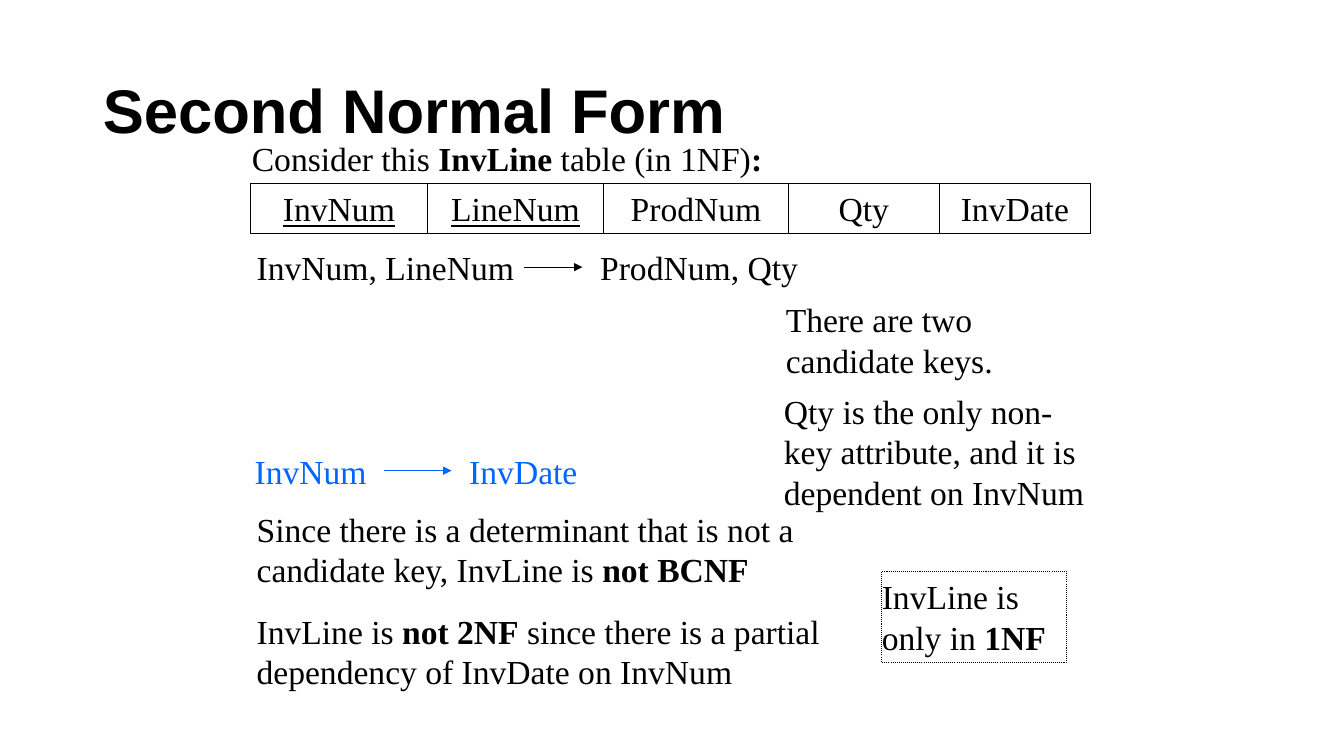
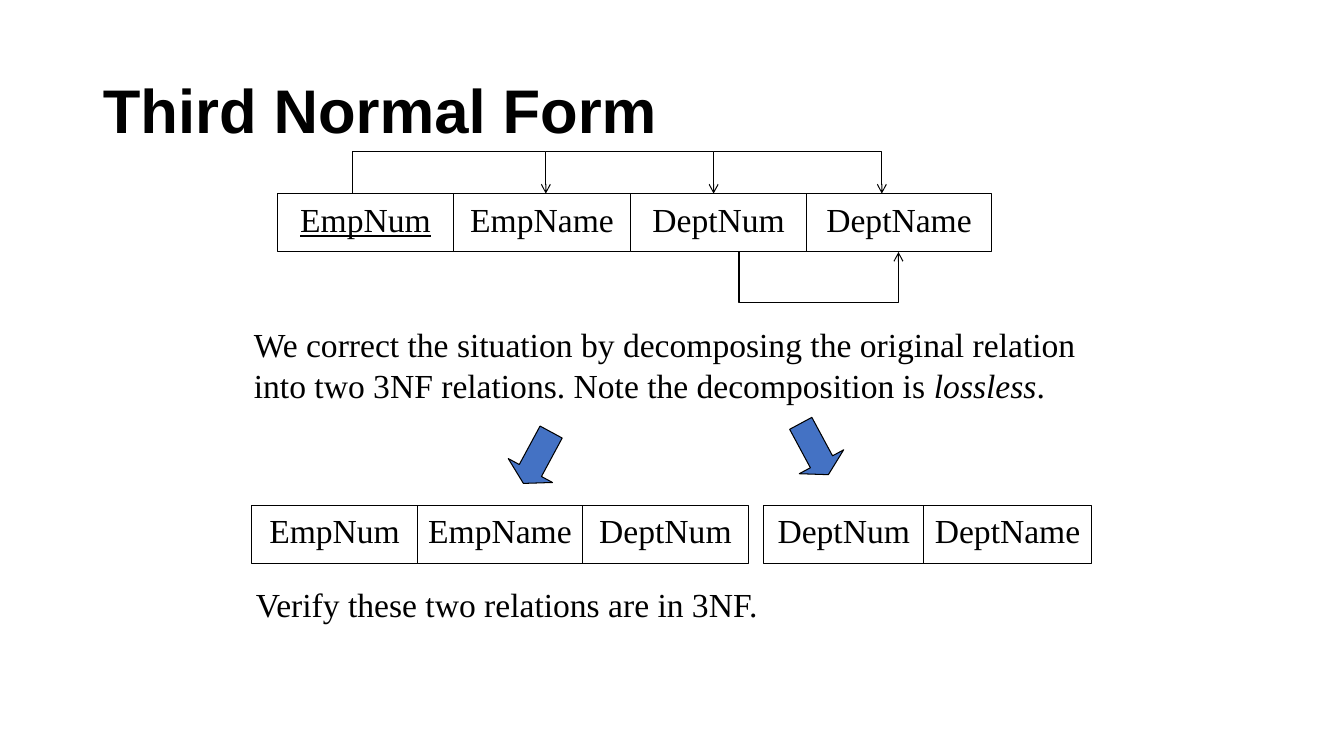
"""Build two slides on second and third normal form."""
from dataclasses import dataclass

from lxml.etree import SubElement
from pptx import Presentation
from pptx.dml.color import RGBColor
from pptx.enum.dml import MSO_LINE
from pptx.enum.shapes import MSO_CONNECTOR, MSO_SHAPE
from pptx.enum.text import MSO_ANCHOR, MSO_AUTO_SIZE, PP_ALIGN
from pptx.oxml.ns import qn
from pptx.util import Cm, Pt


@dataclass(frozen=True)
class Theme:
    ink: RGBColor = RGBColor(0x00, 0x00, 0x00)
    paper: RGBColor = RGBColor(0xFF, 0xFF, 0xFF)
    accent: RGBColor = RGBColor(0x00, 0x66, 0xFF)
    block: RGBColor = RGBColor(0x44, 0x72, 0xC4)
    title_font: str = "Arial"
    body_font: str = "Times New Roman"
    title_size: Pt = Pt(44)
    body_size: Pt = Pt(24)
    rule: Pt = Pt(0.75)
    gap: Pt = Pt(15)


THEME = Theme()
SLIDE_SIZE = (33.88, 19.05)
TITLE_AREA = (2.34, 1.02, 29.21, 3.68)

SECOND = {
    "title": "Second Normal Form",
    "relations": [
        (6.32, 4.62, 1.27, [("InvNum", 4.45, "u"), ("LineNum", 4.45, "u"), ("ProdNum", 4.65, ""),
                            ("Qty", 3.81, ""), ("InvDate", 3.81, "")]),
    ],
    "notes": [
        ((6.1, 3.35, 13.36, 1.27),
         [[("Consider this", ""), (" InvLine ", "b"), ("table (in 1NF)", ""), (":", "b")]],
         {"wrap": False}),
        ((6.22, 6.1, 7.82, 1.27), [[("InvNum, LineNum", "")]], {}),
        ((14.88, 6.1, 8.33, 1.27), [[("ProdNum, Qty", "")]], {}),
        ((19.56, 7.42, 7.37, 2.29), [[("There are two candidate keys.", "")]], {}),
        ((19.51, 9.73, 8.33, 3.3),
         [[("Qty is the only non-key attribute, and it is dependent on InvNum", "")]], {}),
        ((6.17, 11.23, 3.33, 1.27), [[("InvNum", "")]], {"color": THEME.accent, "wrap": False}),
        ((11.58, 11.23, 3.23, 1.27), [[("InvDate", "")]], {"color": THEME.accent, "wrap": False}),
        ((6.22, 12.7, 15.04, 4.85),
         [[("Since there is a determinant that is not a candidate key, InvLine is ", ""),
           ("not BCNF", "b")],
          [("InvLine is ", ""), ("not 2NF", "b"),
           (" since there is a partial dependency of InvDate on InvNum", "")]], {}),
    ],
    "verdict": ((22.23, 14.4, 4.65, 2.29), [[("InvLine is only in ", ""), ("1NF", "b")]]),
    "dependencies": [(13.21, 14.68, 6.73, THEME.ink), (9.68, 11.38, 11.86, THEME.accent)],
}

THIRD = {
    "title": "Third Normal Form",
    "relations": [
        (6.99, 4.88, 1.47, [("EmpNum", 4.45, "u"), ("EmpName", 4.45, ""),
                            ("DeptNum", 4.45, ""), ("DeptName", 4.65, "")]),
        (6.35, 12.73, 1.47, [("EmpNum", 4.17, ""), ("EmpName", 4.17, ""), ("DeptNum", 4.17, "")]),
        (19.25, 12.73, 1.47, [("DeptNum", 4.04, ""), ("DeptName", 4.22, "")]),
    ],
    "notes": [
        ((6.15, 8.05, 22.02, 2.29),
         [[("We correct the situation by decomposing the original relation into two 3NF "
            "relations. Note the decomposition is ", ""), ("lossless", "i"), (".", "")]], {}),
        ((6.2, 14.6, 16.51, 1.27), [[("Verify these two relations are in 3NF.", "")]], {}),
    ],
    "brackets": [(4.88, 3.81, [8.89, 13.76, 17.99, 22.23]), (6.35, 7.62, [18.63, 22.65])],
    "splits": [(12.91, 10.8, 28.4), (19.9, 10.58, 331.7)],
}


def write(shape, paragraphs, font=THEME.body_font, size=THEME.body_size, color=THEME.ink,
          align=PP_ALIGN.LEFT, anchor=MSO_ANCHOR.TOP, wrap=True, spacing=None):
    frame = shape.text_frame
    frame.auto_size = MSO_AUTO_SIZE.NONE
    frame.word_wrap = wrap
    frame.vertical_anchor = anchor
    for index, runs in enumerate(paragraphs):
        paragraph = frame.add_paragraph() if index else frame.paragraphs[0]
        paragraph.alignment = align
        if index:
            paragraph.space_before = THEME.gap
        if spacing:
            paragraph.line_spacing = spacing
        for words, style in runs:
            run = paragraph.add_run()
            run.text = words
            run.font.name, run.font.size = font, size
            run.font.color.rgb = color
            run.font.bold = "b" in style
            run.font.italic = "i" in style
            run.font.underline = "u" in style


def outline(shape, color=THEME.ink, head=None):
    shape.line.color.rgb = color
    shape.line.width = THEME.rule
    if head:
        SubElement(shape.element.spPr.find(qn("a:ln")), qn("a:tailEnd"), type=head)


def add_block(slide, kind, area, fill=None):
    block = slide.shapes.add_shape(kind, *map(Cm, area))
    block.shadow.inherit = False
    if fill is None:
        block.fill.background()
    else:
        block.fill.solid()
        block.fill.fore_color.rgb = fill
    outline(block)
    return block


def add_relation(slide, left, top, height, attributes):
    for name, width, style in attributes:
        cell = add_block(slide, MSO_SHAPE.RECTANGLE, (left, top, width, height), THEME.paper)
        write(cell, [[(name, style)]], align=PP_ALIGN.CENTER)
        left += width


def add_dependency(slide, start, end, y, color):
    arrow = slide.shapes.add_connector(MSO_CONNECTOR.STRAIGHT, Cm(start), Cm(y), Cm(end), Cm(y))
    outline(arrow, color, "triangle")
    SubElement(arrow.element.spPr, qn("a:effectLst"))


def add_bracket(slide, edge, bar, stops):
    for index, (start, end) in enumerate(zip(stops, stops[1:])):
        corners = [(start, bar), (end, bar), (end, edge)]
        if index == 0:
            corners.insert(0, (start, edge))
        first, *rest = [(Cm(x), Cm(y)) for x, y in corners]
        builder = slide.shapes.build_freeform(*first)
        builder.add_line_segments(rest, close=False)
        bracket = builder.convert_to_shape()
        bracket.shadow.inherit = False
        bracket.fill.background()
        outline(bracket, head="arrow")


def add_split(slide, left, top, angle):
    split = add_block(slide, MSO_SHAPE.DOWN_ARROW, (left, top, 1.27, 1.47), THEME.block)
    split.adjustments[0], split.adjustments[1] = 0.5, 0.29
    split.rotation = angle


def add_verdict(slide, area, paragraphs):
    verdict = add_block(slide, MSO_SHAPE.RECTANGLE, area)
    verdict.line.dash_style = MSO_LINE.ROUND_DOT
    verdict.text_frame.margin_left = 0
    write(verdict, paragraphs)


def add_lesson(deck, lesson):
    slide = deck.slides.add_slide(deck.slide_layouts[5])
    title = slide.shapes.title
    title.left, title.top, title.width, title.height = map(Cm, TITLE_AREA)
    write(title, [[(lesson["title"], "b")]], font=THEME.title_font, size=THEME.title_size,
          anchor=MSO_ANCHOR.MIDDLE, spacing=0.9)
    for relation in lesson["relations"]:
        add_relation(slide, *relation)
    for area, paragraphs, options in lesson["notes"]:
        write(slide.shapes.add_textbox(*map(Cm, area)), paragraphs, **options)
    for dependency in lesson.get("dependencies", []):
        add_dependency(slide, *dependency)
    for bracket in lesson.get("brackets", []):
        add_bracket(slide, *bracket)
    for split in lesson.get("splits", []):
        add_split(slide, *split)
    if "verdict" in lesson:
        add_verdict(slide, *lesson["verdict"])


def main():
    deck = Presentation()
    deck.slide_width, deck.slide_height = map(Cm, SLIDE_SIZE)
    for lesson in (SECOND, THIRD):
        add_lesson(deck, lesson)
    deck.save("out.pptx")


if __name__ == "__main__":
    main()
